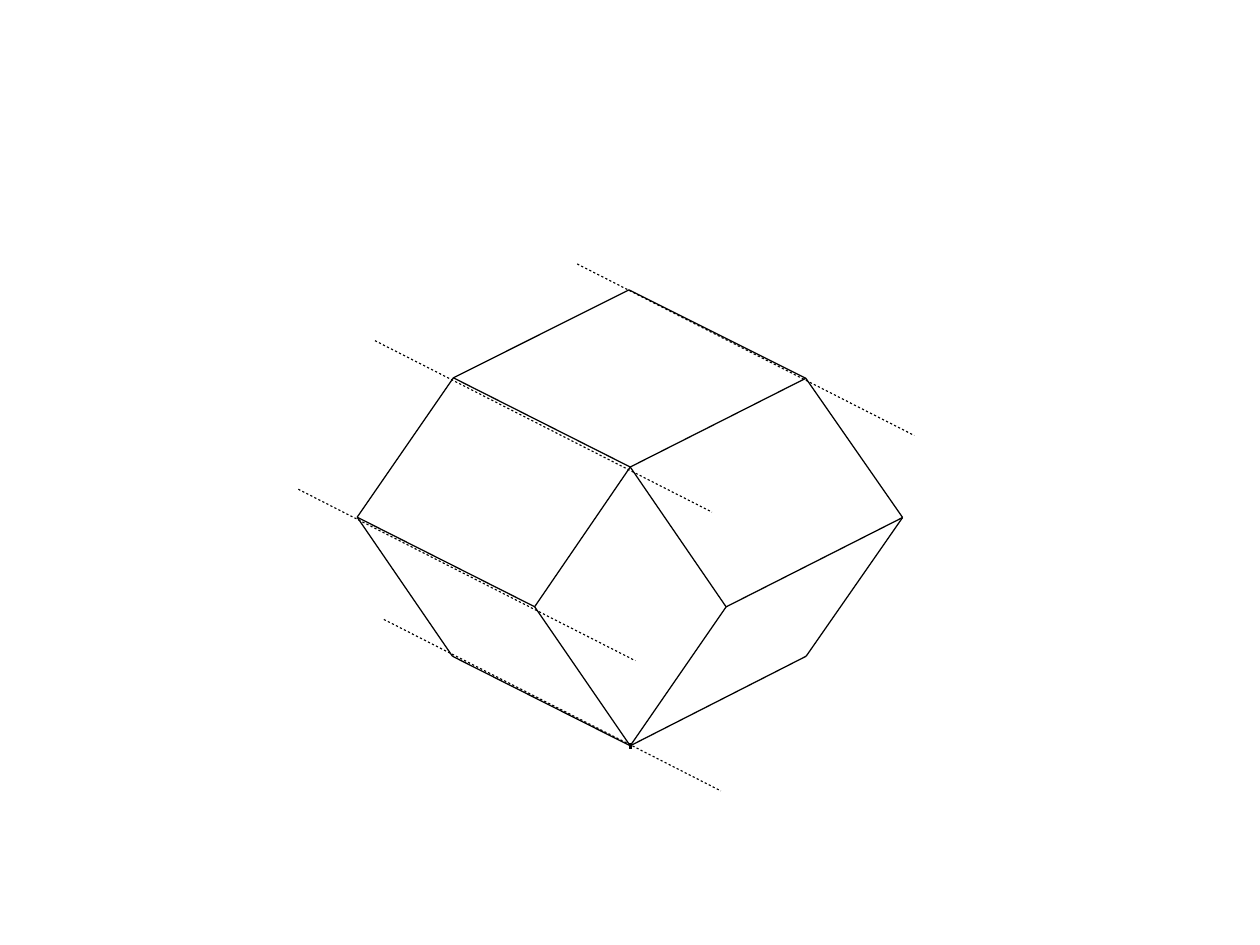
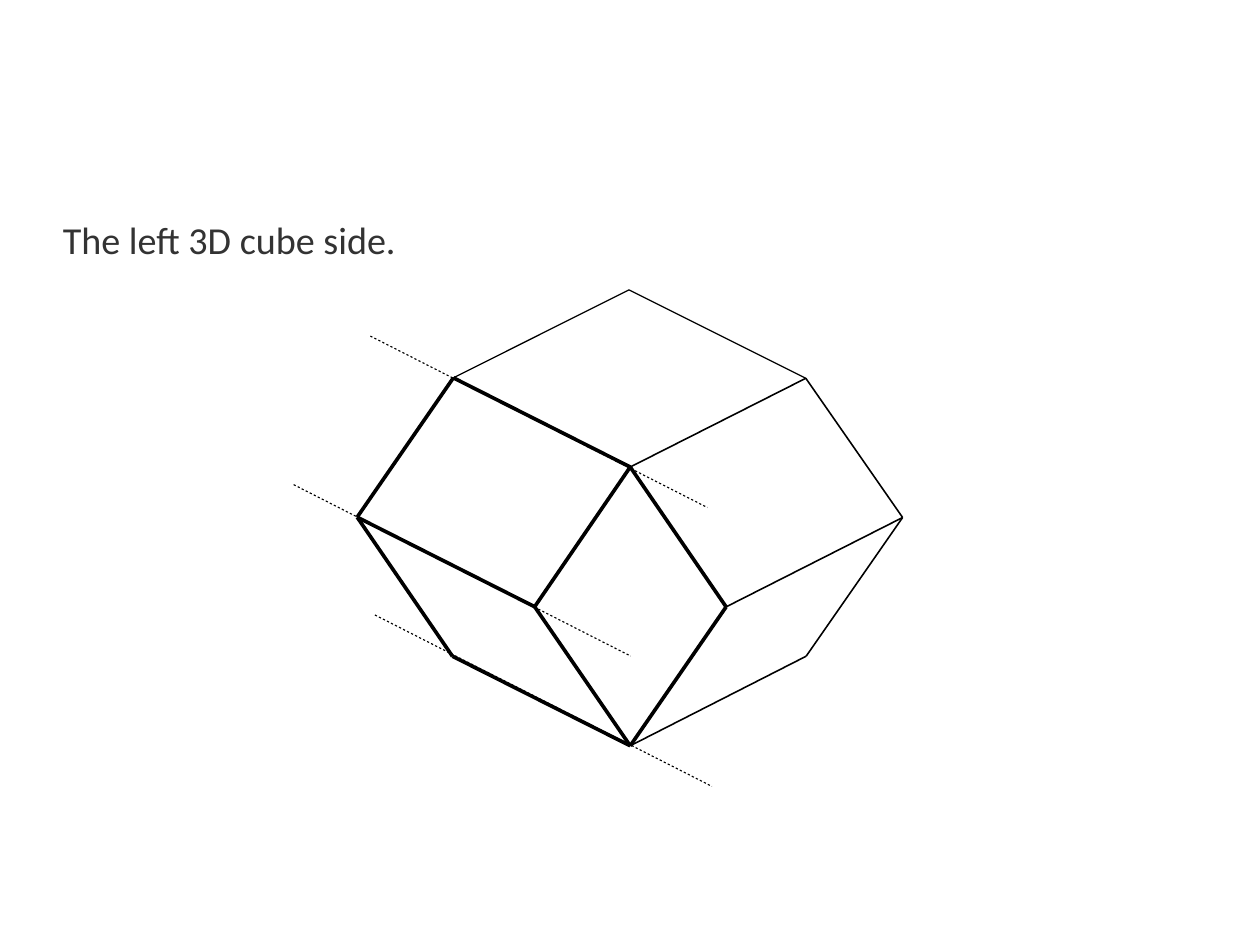
from dataclasses import dataclass

from lxml.etree import SubElement
from pptx import Presentation
from pptx.dml.color import RGBColor
from pptx.enum.shapes import MSO_CONNECTOR as Connector
from pptx.enum.text import MSO_ANCHOR as Anchor, MSO_AUTO_SIZE as AutoSize
from pptx.oxml.ns import qn
from pptx.slide import Slide
from pptx.util import Pt


@dataclass(frozen=True)
class Theme:
    line: RGBColor = RGBColor(0x00, 0x00, 0x00)
    text: RGBColor = RGBColor(0x33, 0x33, 0x33)
    font: str = "Calibri"
    body_size: float = 24
    guide: float = 0.71
    thin: float = 0.79
    medium: float = 1
    mark: float = 2.15
    heavy: float = 2.3


@dataclass(frozen=True)
class Point:
    x: float
    y: float

    def shifted(self, x: float, y: float) -> "Point":
        return Point(self.x + x, self.y + y)


@dataclass(frozen=True)
class EdgeGroup:
    edges: tuple[str, ...]
    width: float


THEME = Theme()
VERTICES = {
    "top": Point(396.2, 182.6),
    "upper_left": Point(285.6, 238),
    "upper_right": Point(507.6, 238.3),
    "center": Point(397, 294.2),
    "left": Point(225, 325.8),
    "right": Point(568.6, 326),
    "inner_left": Point(336.8, 382.2),
    "inner_right": Point(457.4, 382.3),
    "lower_left": Point(285, 413.4),
    "lower_right": Point(507.8, 413.4),
    "bottom": Point(397, 469.8),
}
TOP_EDGES = ("upper_left top", "top upper_right")
RIGHT_EDGES = (
    "center upper_right", "upper_right right", "inner_right right",
    "lower_right right", "bottom lower_right",
)
LEFT_EDGES = (
    "lower_left bottom", "inner_left bottom", "bottom inner_right",
    "left inner_left", "left lower_left", "inner_left center",
    "center inner_right", "left upper_left", "upper_left center",
)
GUIDE_SPAN = (212.3, 108)


def add_line(slide: Slide, start: Point, end: Point, width: float,
             dotted: bool = False) -> None:
    connector = slide.shapes.add_connector(
        Connector.STRAIGHT, Pt(start.x), Pt(start.y), Pt(end.x), Pt(end.y))
    connector.line.color.rgb = THEME.line
    connector.line.width = Pt(width)
    properties = connector._element.spPr
    if dotted:
        dash = SubElement(properties.find(qn("a:ln")), qn("a:custDash"))
        SubElement(dash, qn("a:ds"), d="200000", sp="200000")
    SubElement(properties, qn("a:effectLst"))


def add_solid(slide: Slide, groups: tuple[EdgeGroup, ...]) -> None:
    for group in groups:
        for edge in group.edges:
            start, end = edge.split()
            add_line(slide, VERTICES[start], VERTICES[end], group.width)


def add_guides(slide: Slide, starts: tuple[Point, ...]) -> None:
    for start in starts:
        add_line(slide, start, start.shifted(*GUIDE_SPAN), THEME.guide, dotted=True)


def add_body(slide: Slide, text: str) -> None:
    body = slide.placeholders[1]
    body.left, body.top = Pt(39.6), Pt(139.7)
    body.width, body.height = Pt(714.2), Pt(393.1)
    frame = body.text_frame
    frame.margin_left = frame.margin_right = 0
    frame.margin_top = frame.margin_bottom = 0
    frame.vertical_anchor = Anchor.TOP
    frame.word_wrap = True
    frame.auto_size = AutoSize.SHAPE_TO_FIT_TEXT
    paragraph = frame.paragraphs[0]
    paragraph.line_spacing = 0.9
    paragraph.space_before = Pt(0)
    paragraph.space_after = Pt(14.1)
    properties = paragraph._p.get_or_add_pPr()
    properties.set("marL", "0")
    properties.set("indent", "0")
    SubElement(properties, qn("a:buNone"))
    run = paragraph.add_run()
    run.text = text
    run.font.name = THEME.font
    run.font.size = Pt(THEME.body_size)
    run.font.color.rgb = THEME.text


def build_outline_slide(presentation: Presentation) -> None:
    slide = presentation.slides.add_slide(presentation.slide_layouts[6])
    add_solid(slide, (EdgeGroup(LEFT_EDGES + RIGHT_EDGES + TOP_EDGES, THEME.thin),))
    bottom = VERTICES["bottom"]
    add_line(slide, bottom.shifted(0, -2), bottom.shifted(0, 2), THEME.mark)
    add_guides(slide, (
        Point(236.2, 214.6), Point(363.6, 166.3),
        Point(187.9, 308.2), Point(241.8, 390.2),
    ))


def build_left_side_slide(presentation: Presentation) -> None:
    slide = presentation.slides.add_slide(presentation.slide_layouts[1])
    title = slide.shapes.title._element
    title.getparent().remove(title)
    add_body(slide, "The left 3D cube side.")
    add_solid(slide, (
        EdgeGroup(LEFT_EDGES, THEME.heavy),
        EdgeGroup(RIGHT_EDGES, THEME.medium),
        EdgeGroup(TOP_EDGES, THEME.thin),
    ))
    add_guides(slide, (
        Point(185, 305.3), Point(233.3, 211.7), Point(236.2, 387.4),
    ))


def main() -> None:
    presentation = Presentation()
    presentation.slide_width = Pt(793.7)
    presentation.slide_height = Pt(595.28)
    build_outline_slide(presentation)
    build_left_side_slide(presentation)
    presentation.save("out.pptx")


if __name__ == "__main__":
    main()
